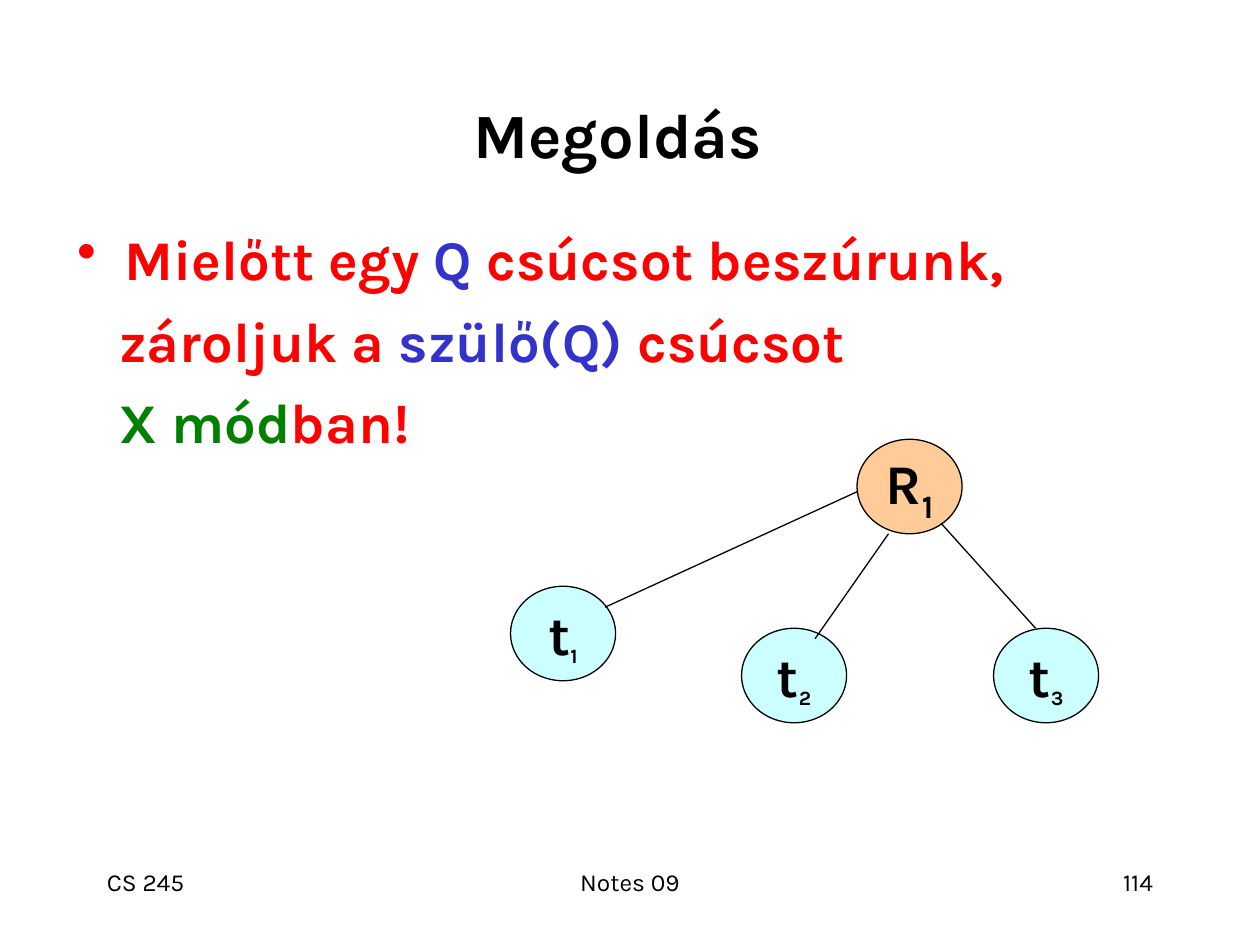
from lxml import etree
from pptx import Presentation
from pptx.dml.color import RGBColor
from pptx.enum.shapes import MSO_CONNECTOR, MSO_SHAPE
from pptx.enum.text import MSO_ANCHOR, PP_ALIGN
from pptx.oxml.ns import qn
from pptx.util import Pt

LEFT, MID, RIGHT = PP_ALIGN.LEFT, PP_ALIGN.CENTER, PP_ALIGN.RIGHT
TOP, MIDDLE = MSO_ANCHOR.TOP, MSO_ANCHOR.MIDDLE
OVAL, LINE = MSO_SHAPE.OVAL, MSO_CONNECTOR.STRAIGHT
FONT = "Karla"
HEX = {"black": "000000", "red": "FF0000", "blue": "3333CC",
       "green": "008000", "root": "FFCC99", "leaf": "CCFFFF"}
NODE = (60, 54)


def color(name):
    return RGBColor.from_string(HEX[name])


def add_run(para, text, size, tint="black", bold=True):
    run = para.add_run()
    run.text = text
    run.font.name, run.font.size, run.font.bold = FONT, Pt(size), bold
    run.font.color.rgb = color(tint)
    return run


def add_box(slide, box, align=LEFT, anchor=TOP):
    """Add an empty wrapping text box and return its frame."""
    frame = slide.shapes.add_textbox(*map(Pt, box)).text_frame
    frame.word_wrap = True
    frame.vertical_anchor = anchor
    frame.paragraphs[0].alignment = align
    return frame


def add_title(slide, box, text):
    frame = add_box(slide, box, MID, MIDDLE)
    add_run(frame.paragraphs[0], text, 36)


def set_indent(para, left, first=0):
    props = para._p.get_or_add_pPr()
    props.set("marL", str(Pt(left)))
    props.set("indent", str(Pt(first)))
    return props


def add_bullet(para, char, tint):
    props = set_indent(para, 27, -27)
    fill = etree.SubElement(props, qn("a:buClr"))
    etree.SubElement(fill, qn("a:srgbClr"), val=HEX[tint])
    etree.SubElement(props, qn("a:buChar"), char=char)


def add_body(slide, box, lines):
    frame = add_box(slide, box)
    for i, parts in enumerate(lines):
        if i == 0:
            para = frame.paragraphs[0]
            add_bullet(para, "•", "red")
        else:
            para = frame.add_paragraph()
            set_indent(para, 24)
            para.space_before = Pt(8)
        for text, tint in parts:
            add_run(para, text, 32, tint)


def add_node(slide, spot, name, index, tint, size):
    node = slide.shapes.add_shape(OVAL, *map(Pt, spot + NODE))
    node.shadow.inherit = False
    node.fill.solid()
    node.fill.fore_color.rgb = color(tint)
    node.line.color.rgb = color("black")
    node.line.width = Pt(0.75)
    frame = node.text_frame
    frame.word_wrap = False
    frame.vertical_anchor = MIDDLE
    para = frame.paragraphs[0]
    para.alignment = MID
    add_run(para, name, 32)
    sub = add_run(para, index, size)
    sub.font._element.set("baseline", "-25000")


def add_edge(slide, start, end):
    edge = slide.shapes.add_connector(LINE, *map(Pt, start + end))
    edge.line.color.rgb = color("black")
    edge.line.width = Pt(0.75)
    etree.SubElement(edge._element.spPr, qn("a:effectLst"))


def add_tree(slide, left, top):
    """Draw the root, its leaves and the edges from the tree's top left."""
    def place(x, y):
        return left + x, top + y

    add_node(slide, place(198, 0), "R", "1", "root", 32)
    leaves = [(0, 84), (132, 108), (276, 108)]
    for i, spot in enumerate(leaves, 1):
        add_node(slide, place(*spot), "t", str(i), "leaf", 20)
    edges = [((198, 30), (54, 96)), ((216, 54), (174, 114)),
             ((246, 48), (300, 108))]
    for start, end in edges:
        add_edge(slide, place(*start), place(*end))


def add_footer(slide, top, items):
    for left, width, align, text in items:
        frame = add_box(slide, (left, top, width, 36), align)
        add_run(frame.paragraphs[0], text, 14, bold=False)


def main():
    deck = Presentation()
    deck.slide_width, deck.slide_height = Pt(720), Pt(540)
    slide = deck.slides.add_slide(deck.slide_layouts[6])
    add_title(slide, (47, 31, 612, 90), "Megoldás")
    add_body(slide, (37, 125, 612, 324), [
        [("Mielőtt egy ", "red"), ("Q", "blue"),
         (" csúcsot beszúrunk,", "red")],
        [("zároljuk a ", "red"), ("szülő(Q) ", "blue"), ("csúcsot", "red")],
        [("X mód", "green"), ("ban!", "red")],
    ])
    add_tree(slide, 291.75, 251)
    add_footer(slide, 492, [(54, 150, LEFT, "CS 245"),
                            (246, 228, MID, "Notes 09"),
                            (516, 150, RIGHT, "114")])
    deck.save("out.pptx")


if __name__ == "__main__":
    main()
